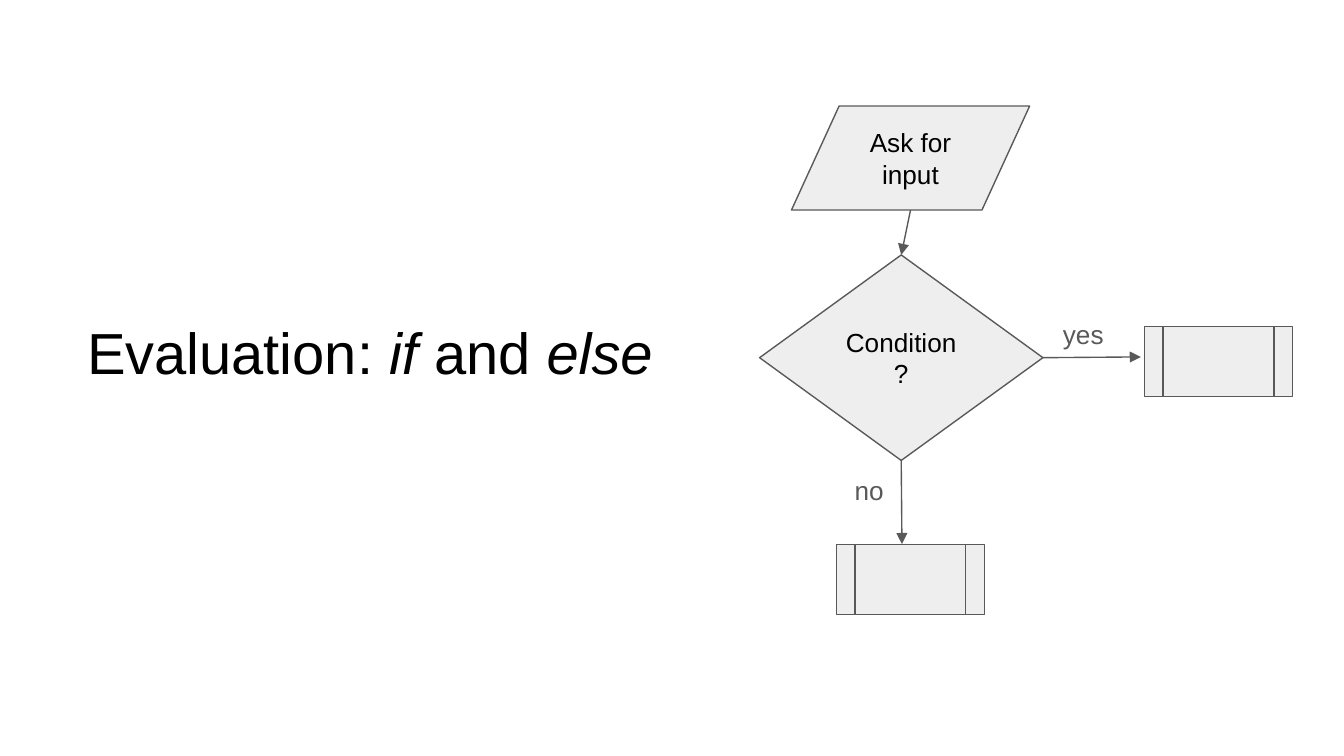
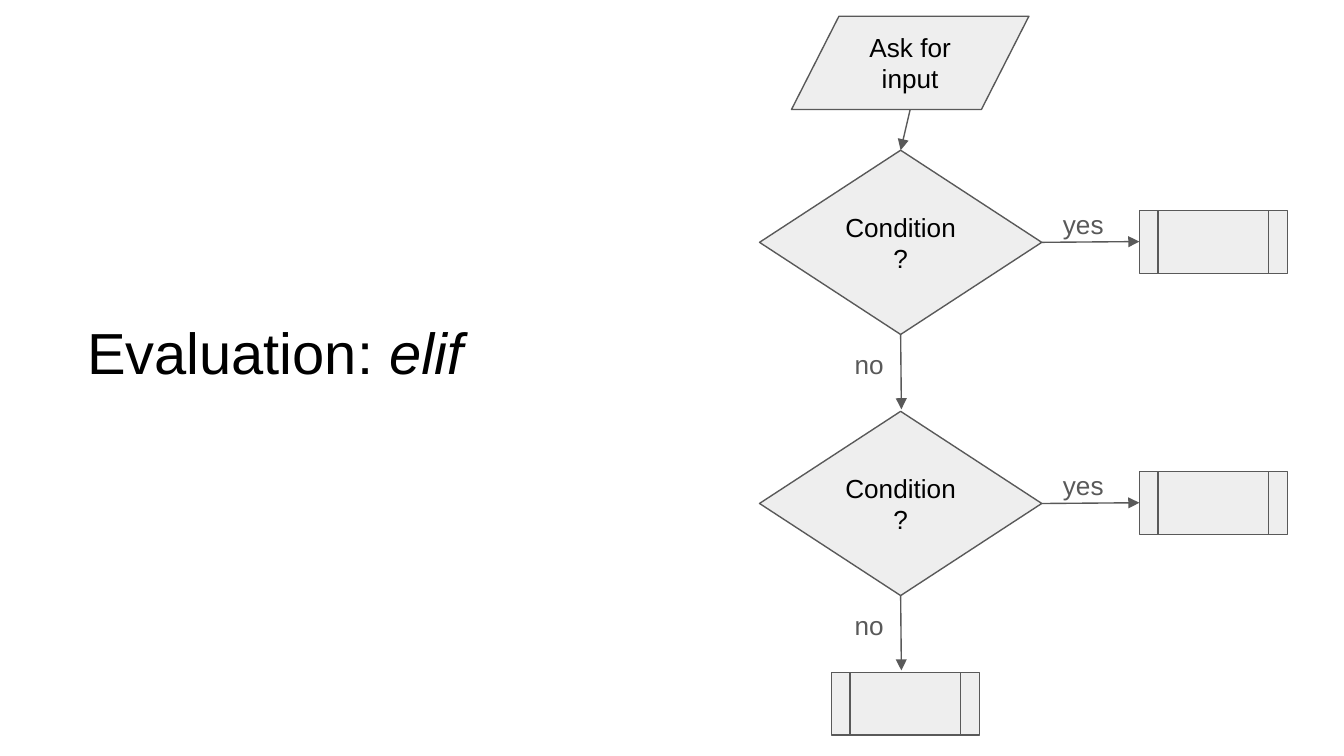
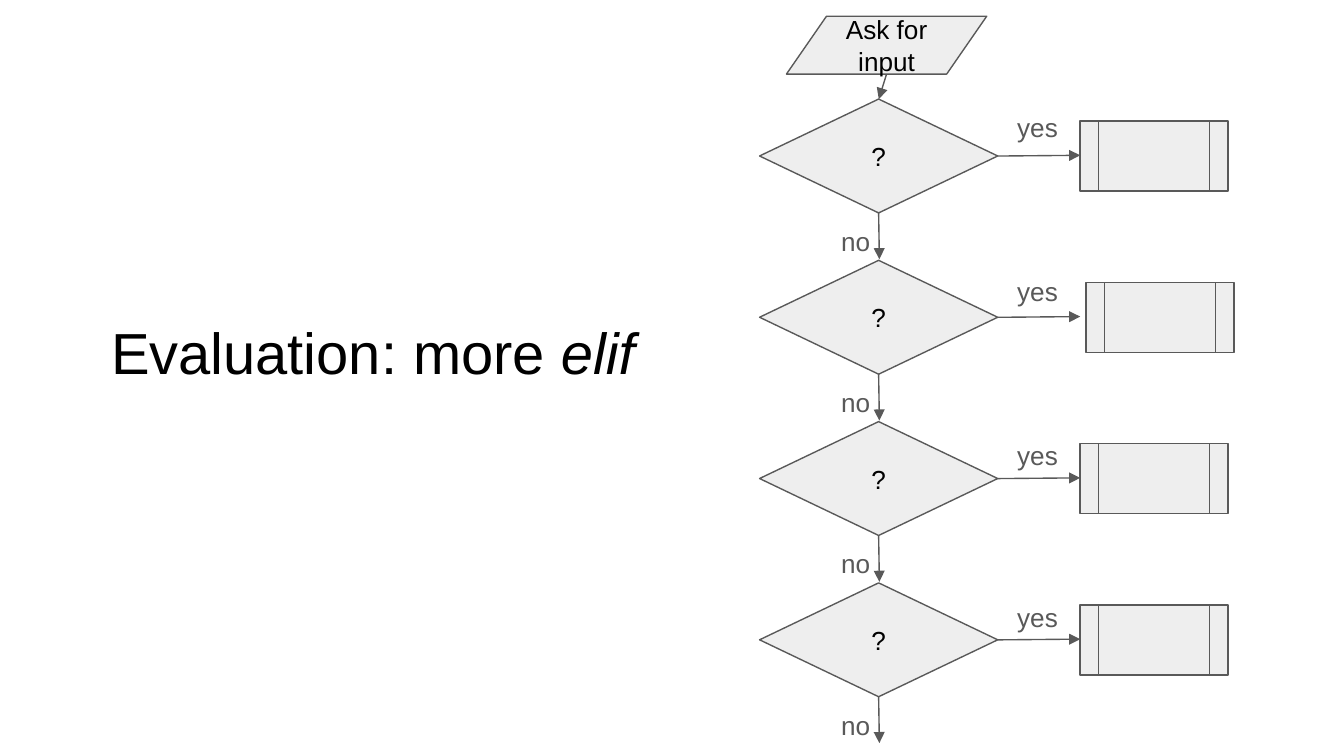
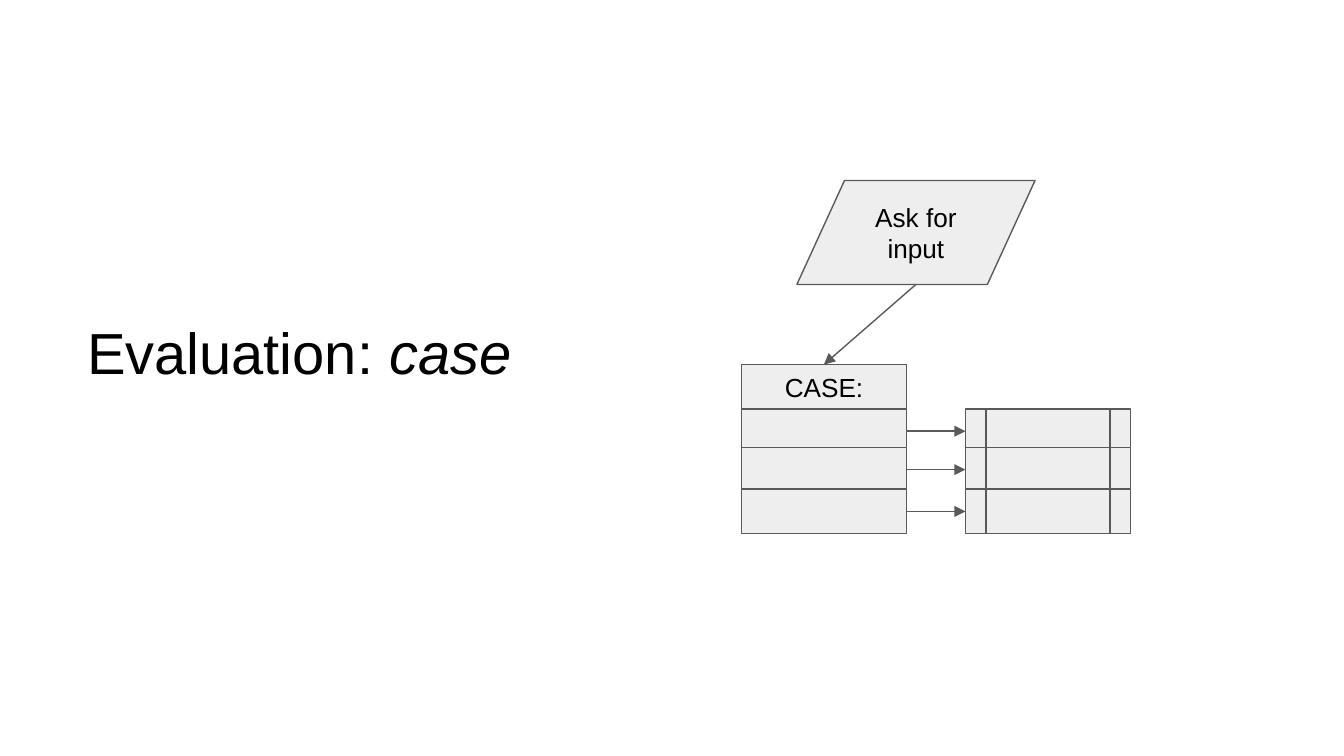
from pptx import Presentation
from pptx.dml.color import RGBColor
from pptx.enum.shapes import MSO_CONNECTOR, MSO_SHAPE
from pptx.enum.text import MSO_ANCHOR, PP_ALIGN
from pptx.oxml.ns import qn
from pptx.util import Pt
from lxml import etree

STRAIGHT = MSO_CONNECTOR.STRAIGHT
INPUT = MSO_SHAPE.FLOWCHART_DATA
DECISION = MSO_SHAPE.FLOWCHART_DECISION
PROCESS = MSO_SHAPE.FLOWCHART_PROCESS
SUBROUTINE = MSO_SHAPE.FLOWCHART_PREDEFINED_PROCESS
TOP, MIDDLE, BOTTOM = MSO_ANCHOR.TOP, MSO_ANCHOR.MIDDLE, MSO_ANCHOR.BOTTOM
LEFT, CENTER = PP_ALIGN.LEFT, PP_ALIGN.CENTER


def rgb(value):
    return RGBColor.from_string(value)


class FlowDeck:
    FONT = "Arial"
    INK = "000000"
    GRAY = "595959"
    FILL = "EEEEEE"
    BODY = 14
    TITLE = 31
    INSET = 7.2
    LINE = 0.75
    DECISION_X = 406.9
    BOX_W = 79.2

    def __init__(self):
        self.prs = Presentation()
        self.prs.slide_width = Pt(720)
        self.prs.slide_height = Pt(405)
        self.s = None

    def set_text(self, sp, runs, size, color, align, anchor):
        tf = sp.text_frame
        tf.word_wrap = True
        tf.vertical_anchor = anchor
        tf.margin_left = tf.margin_right = Pt(self.INSET)
        tf.margin_top = tf.margin_bottom = Pt(self.INSET)
        p = tf.paragraphs[0]
        p.alignment = align
        for text, italic in runs:
            r = p.add_run()
            r.text = text
            r.font.name = self.FONT
            r.font.size = Pt(size)
            r.font.italic = italic
            r.font.color.rgb = rgb(color)

    def text(self, x, y, w, h, runs, size, color, align=LEFT, anchor=TOP):
        sp = self.s.shapes.add_textbox(Pt(x), Pt(y), Pt(w), Pt(h))
        self.set_text(sp, runs, size, color, align, anchor)

    def slide(self, runs, align=LEFT):
        self.s = self.prs.slides.add_slide(self.prs.slide_layouts[6])
        self.text(39.6, 169.2, 320.4, 44.6, runs, self.TITLE, self.INK,
                  align, BOTTOM)

    def label(self, x, y, w, h, text):
        self.text(x, y, w, h, [(text, False)], self.BODY, self.GRAY)

    def shape(self, kind, x, y, w, h, text=None):
        sp = self.s.shapes.add_shape(kind, Pt(x), Pt(y), Pt(w), Pt(h))
        sp.shadow.inherit = False
        sp.fill.solid()
        sp.fill.fore_color.rgb = rgb(self.FILL)
        sp.line.color.rgb = rgb(self.GRAY)
        sp.line.width = Pt(self.LINE)
        if text:
            self.set_text(sp, [(text, False)], self.BODY, self.INK, CENTER,
                          MIDDLE)

    def arrow(self, x1, y1, x2, y2):
        c = self.s.shapes.add_connector(STRAIGHT, Pt(x1), Pt(y1), Pt(x2), Pt(y2))
        c.line.color.rgb = rgb(self.GRAY)
        c.line.width = Pt(self.LINE)
        sppr = c.element.spPr
        etree.SubElement(sppr.find(qn("a:ln")), qn("a:tailEnd"), type="triangle")
        etree.SubElement(sppr, qn("a:effectLst"))

    def ask(self, x, y, w, h, to_x, to_y):
        self.shape(INPUT, x, y, w, h, "Ask for input")
        self.arrow(x + w / 2, y + h, to_x, to_y)

    def decide(self, y, w, h, text, yes_end, no_len, yes_at, no_x, label_size):
        x = self.DECISION_X
        mid, right, bottom = x + w / 2, x + w, y + h
        self.shape(DECISION, x, y, w, h, text)
        self.arrow(right, y + h / 2, yes_end, y + h / 2 - 0.4)
        self.arrow(mid, bottom, mid + 0.4, bottom + no_len)
        self.label(*yes_at, *label_size, "yes")
        self.label(no_x, bottom, *label_size, "no")

    def box(self, x, y, h):
        self.shape(SUBROUTINE, x, y, self.BOX_W, h)


def if_else(d):
    d.slide([("Evaluation: ", False), ("if", True), (" and ", False),
             ("else", True)])
    d.ask(424, 56.8, 127.6, 55.7, 482.8, 136.6)
    d.decide(136.6, 151.8, 110.1, "Condition?", 611.2, 44.8, (562.3, 163.4),
             450.7, (44.6, 23.8))
    d.box(613.2, 174.9, 37.5)
    d.box(448.1, 291.6, 37.5)


def elif_chain(d):
    d.slide([("Evaluation: ", False), ("elif", True)])
    d.ask(424, 8.7, 127.2, 50, 482.5, 80.5)
    for i in range(2):
        y = 80.5 + 139.9 * i
        d.decide(y, 151.2, 98.7, "Condition?", 610.4, 40.1, (562.3, y + 23.8),
                 450.7, (44.6, 21.6))
        d.box(610.4, y + 32.3, 33.6)
    d.box(445.4, 360.2, 33.6)


def more_elif(d):
    d.slide([("Evaluation: more ", False), ("elif", True)], CENTER)
    d.ask(421.3, 8.7, 107.3, 31, 470.8, 53.1)
    steps = [(53.3, 578.7), (141.1, 581.8), (229, 578.7), (315.4, 578.7)]
    for i, (yes_y, box_x) in enumerate(steps):
        y = 53.1 + 86.4 * i
        d.decide(y, 127.6, 61, "?", 578.7, 24.8, (537.8, yes_y), 443.5,
                 (37.4, 13.7))
        d.box(box_x, y + 11.8, 37.5)


def case(d):
    d.slide([("Evaluation: ", False), ("case", True)])
    d.ask(426.9, 96.7, 127.6, 55.7, 441.4, 195.3)
    left, right, w, h = 397.2, 517.2, 88.6, 23.8
    d.shape(PROCESS, left, 195.3, w, h, "CASE:")
    for y in (219.1, 239.7, 262.1):
        d.shape(PROCESS, left, y, w, h)
        d.shape(SUBROUTINE, right, y, w, h)
        d.arrow(left + w, y + h / 2, right, y + h / 2)


def main():
    d = FlowDeck()
    for build in (if_else, elif_chain, more_elif, case):
        build(d)
    d.prs.save("out.pptx")


if __name__ == "__main__":
    main()
